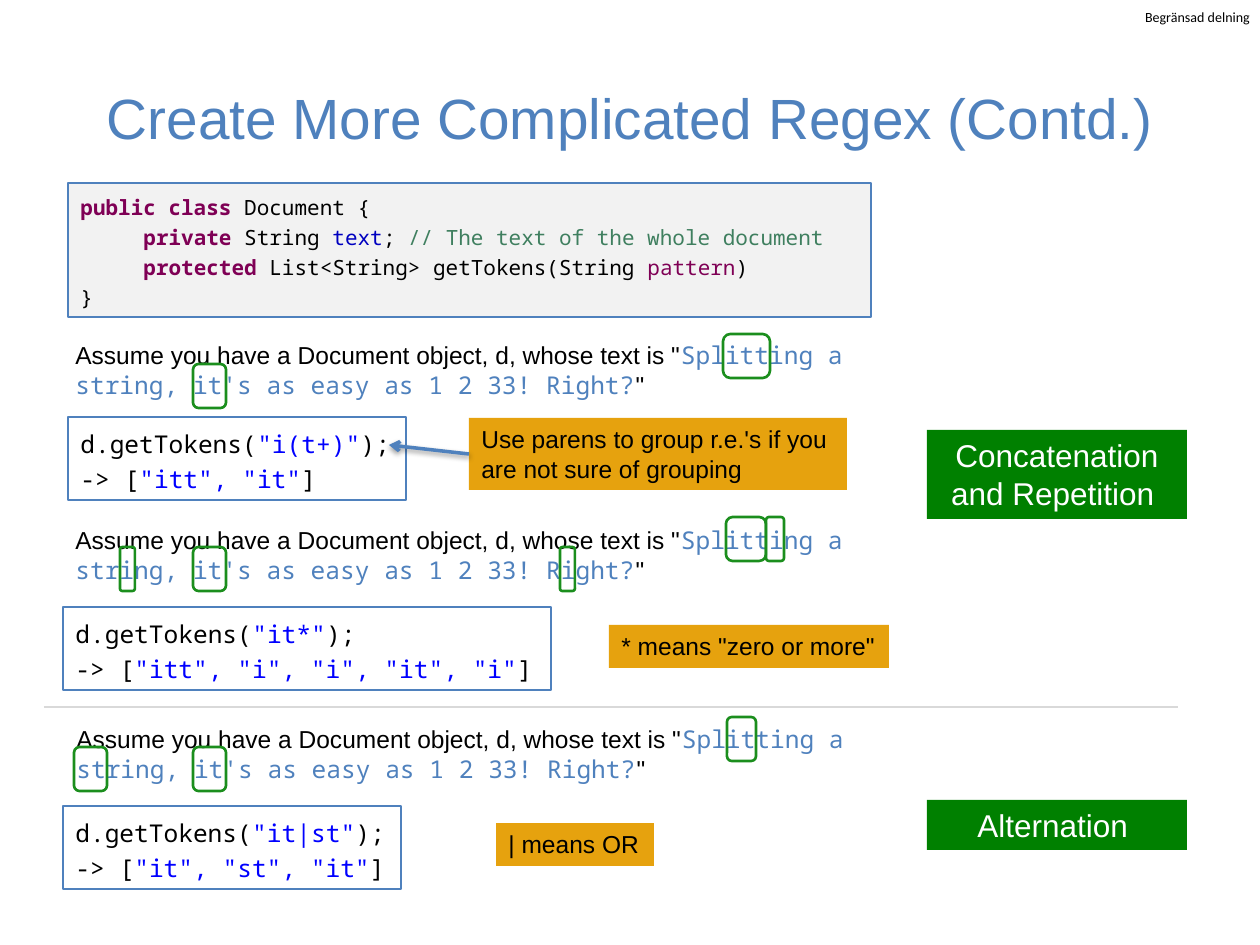
from lxml.etree import SubElement
from pptx import Presentation
from pptx.dml.color import RGBColor
from pptx.enum.shapes import MSO_CONNECTOR as Connector, MSO_SHAPE as Shape
from pptx.enum.text import MSO_ANCHOR as Anchor, MSO_AUTO_SIZE as AutoSize, PP_ALIGN as Align
from pptx.oxml import parse_xml
from pptx.oxml.ns import nsdecls, qn
from pptx.util import Emu, Pt

PX = 914400 / 126
SANS, MONO = "Arial", "Noto Sans Mono"
COLORS = {
    "black": "000000", "white": "FFFFFF", "blue": "4F81BD", "panel": "F2F2F2",
    "keyword": "7F0055", "field": "0000C0", "comment": "3F7F5F", "string": "0000FF",
    "green": "008000", "mark": "1B8E1D", "amber": "E6A20E", "rule": "D9D9D9",
}
SHADOW = (
    f'<a:effectLst {nsdecls("a")}><a:outerShdw blurRad="39370" dist="20320" dir="5400000" rotWithShape="0">'
    '<a:srgbClr val="000000"><a:alpha val="38000"/></a:srgbClr></a:outerShdw></a:effectLst>'
)
CLASS_CODE = [
    [("public class ", "keyword", True), ("Document {", "black")],
    [("\t", "black"), ("private", "keyword", True), (" String ", "black"), ("text", "field"),
     ("; ", "black"), ("// The text of the whole document", "comment")],
    [("\t", "black"), ("protected", "keyword", True), (" List<String> getTokens(String ", "black"),
     ("pattern", "keyword"), (")", "black")],
    [("}", "black")],
]
EXAMPLES = [
    {"assume": (63, 334), "call": (68, 417, 338), "pattern": '"i(t+)"', "tokens": '"itt", "it"',
     "marks": [(723, 334, 47), (193, 364, 33)]},
    {"assume": (63, 519), "call": (63, 607, 488), "pattern": '"it*"',
     "tokens": '"itt", "i", "i", "it", "i"',
     "marks": [(726, 517, 40), (766, 517, 18), (120, 547, 15), (193, 547, 33), (560, 547, 15)]},
    {"assume": (64, 718), "call": (63, 806, 338), "pattern": '"it|st"',
     "tokens": '"it", "st", "it"',
     "marks": [(727, 717, 29), (193, 747, 33), (74, 747, 33)]},
]


def px(value):
    return Emu(round(value * PX))


def rgb(name):
    return RGBColor.from_string(COLORS[name])


def assign(target, **values):
    for name, value in values.items():
        setattr(target, name, value)


class RegexSlide:
    """Builds the regex slide with one shared style."""

    def __init__(self, presentation):
        self.slide = presentation.slides.add_slide(presentation.slide_layouts[5])
        self.shapes = self.slide.shapes

    def add_run(self, paragraph, text, color, bold=False, font=SANS, size=14):
        run = paragraph.add_run()
        run.text = text
        assign(run.font, name=font, size=Pt(size), bold=bold)
        run.font.color.rgb = rgb(color)

    def title(self, text, left, top, width, height):
        title = self.shapes.title
        assign(title, left=px(left), top=px(top), width=px(width), height=px(height))
        assign(title.text_frame, vertical_anchor=Anchor.MIDDLE, word_wrap=True)
        paragraph = title.text_frame.paragraphs[0]
        paragraph.alignment = Align.CENTER
        self.add_run(paragraph, text, "blue", size=32.4)

    def box(self, left, top, width, height, fill=None, line=None, wrap=True):
        box = self.shapes.add_textbox(px(left), px(top), px(width), px(height))
        assign(box.text_frame, word_wrap=wrap, auto_size=AutoSize.SHAPE_TO_FIT_TEXT)
        if fill:
            box.fill.solid()
            box.fill.fore_color.rgb = rgb(fill)
        if line:
            box.line.color.rgb = rgb(line)
            box.line.width = Pt(0.75)
        return box

    def label(self, text, left, top, width, height, fill="amber", color="black", size=14, align=Align.LEFT):
        box = self.box(left, top, width, height, fill)
        paragraph = box.text_frame.paragraphs[0]
        paragraph.alignment = align
        self.add_run(paragraph, text, color, size=size)
        return box

    def topic(self, text, top, height):
        self.label(text, 927, top, 260, height, "green", "white", 18, Align.CENTER)

    def marking(self, text, left, top, width, height):
        box = self.box(left, top, width, height, wrap=False)
        assign(box.text_frame, margin_left=0, margin_top=0, margin_right=0, margin_bottom=0)
        self.add_run(box.text_frame.paragraphs[0], text, "black", font="Calibri", size=8)

    def code(self, lines, left, top, width, height, size=14, fill=None, wrap=False):
        frame = self.box(left, top, width, height, fill, "blue", wrap).text_frame
        for index, line in enumerate(lines):
            paragraph = frame.add_paragraph() if index else frame.paragraphs[0]
            paragraph.line_spacing = 1.2
            tabs = SubElement(paragraph._p.get_or_add_pPr(), qn("a:tabLst"))
            SubElement(tabs, qn("a:tab"), pos=str(px(63)), algn="l")
            for part in line:
                self.add_run(paragraph, *part, font=MONO, size=size)

    def call(self, pattern, tokens, left, top, width):
        lines = [
            [("d.getTokens(", "black"), (pattern, "string"), (");", "black")],
            [("-> [", "black"), (tokens, "string"), ("]", "black")],
        ]
        self.code(lines, left, top, width, 83)

    def assumption(self, left, top):
        paragraph = self.box(left, top, 881, 72).text_frame.paragraphs[0]
        self.add_run(paragraph, 'Assume you have a Document object, d, whose text is "', "black")
        self.add_run(paragraph, "Splitting a string, it's as easy as 1 2 33! Right?", "blue", font=MONO)
        self.add_run(paragraph, '"', "black")

    def mark(self, left, top, width):
        mark = self.shapes.add_shape(Shape.ROUNDED_RECTANGLE, px(left), px(top), px(width), px(44))
        mark.shadow.inherit = False
        mark.fill.background()
        mark.line.color.rgb = rgb("mark")
        mark.line.width = Pt(1.5)

    def line(self, start, end, color, width):
        line = self.shapes.add_connector(Connector.STRAIGHT, *map(px, start + end))
        line.line.color.rgb = rgb(color)
        line.line.width = Pt(width)
        return line

    def rule(self, left, right, y):
        line = self.line((left, y), (right, y), "rule", 0.75)
        SubElement(line._element.spPr, qn("a:effectLst"))

    def arrow(self, source, start, end):
        line = self.line(start, end, "blue", 2)
        line.begin_connect(source, 1)
        SubElement(line.line._get_or_add_ln(), qn("a:tailEnd"), type="arrow")
        line._element.spPr.append(parse_xml(SHADOW))


def main():
    presentation = Presentation()
    assign(presentation, slide_width=px(1260), slide_height=px(945))
    slide = RegexSlide(presentation)
    slide.marking("Begränsad delning", 1145, 9, 108, 16)
    slide.title("Create More Complicated Regex (Contd.)", 63, 38, 1134, 157)
    slide.code(CLASS_CODE, 68, 183, 803, 134, size=12, fill="panel", wrap=True)
    for example in EXAMPLES:
        slide.assumption(*example["assume"])
        slide.call(example["pattern"], example["tokens"], *example["call"])
        for mark in example["marks"]:
            slide.mark(*mark)
    slide.rule(44, 1178, 707)
    hint = slide.label("Use parens to group r.e.'s if you are not sure of grouping", 469, 418, 378, 72)
    slide.arrow(hint, (469, 454), (389, 445))
    slide.label('* means "zero or more"', 609, 625, 280, 43)
    slide.label("| means OR", 496, 823, 158, 43)
    slide.topic("Concatenation and Repetition ", 430, 89)
    slide.topic("Alternation ", 800, 50)
    presentation.save("out.pptx")


if __name__ == "__main__":
    main()
